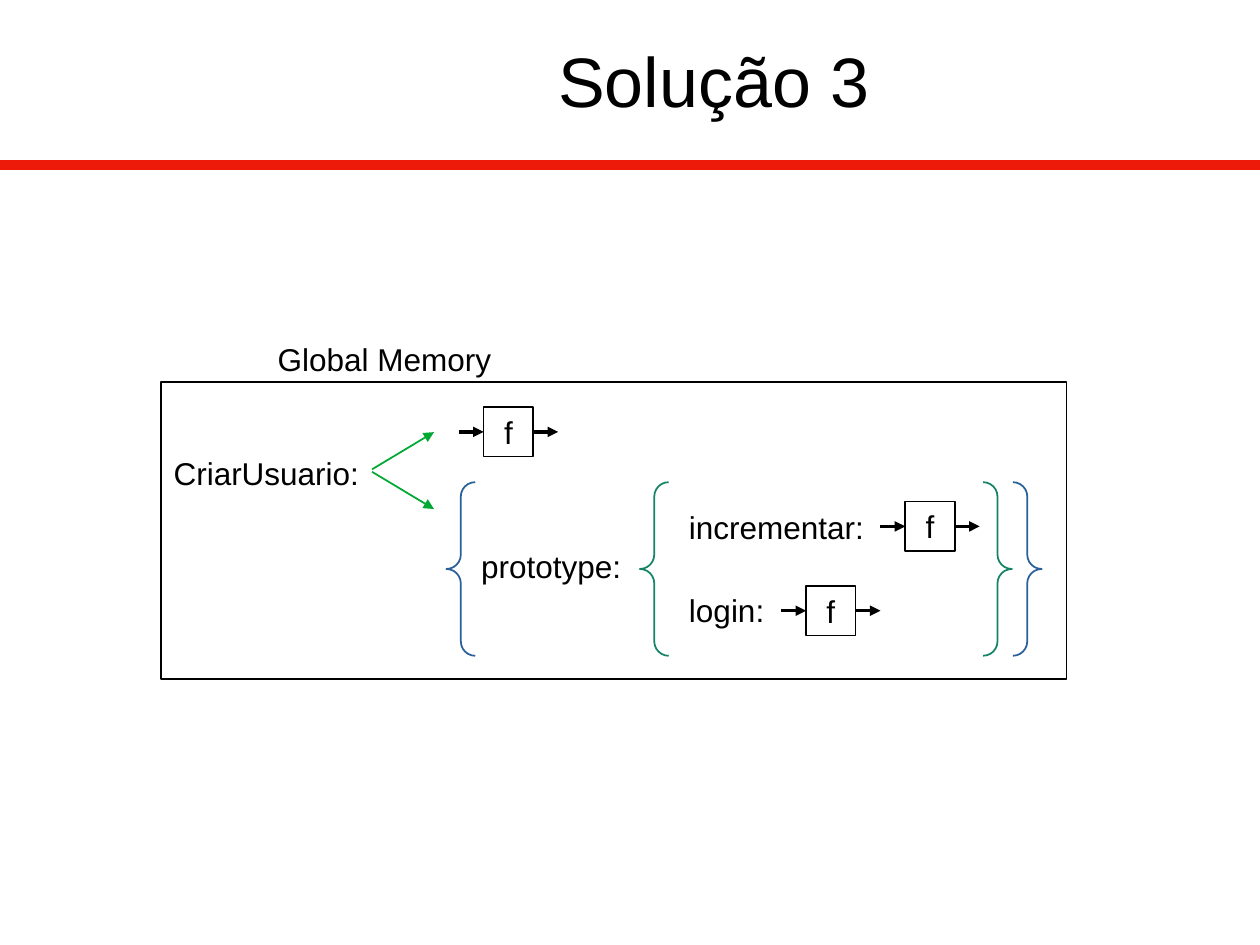
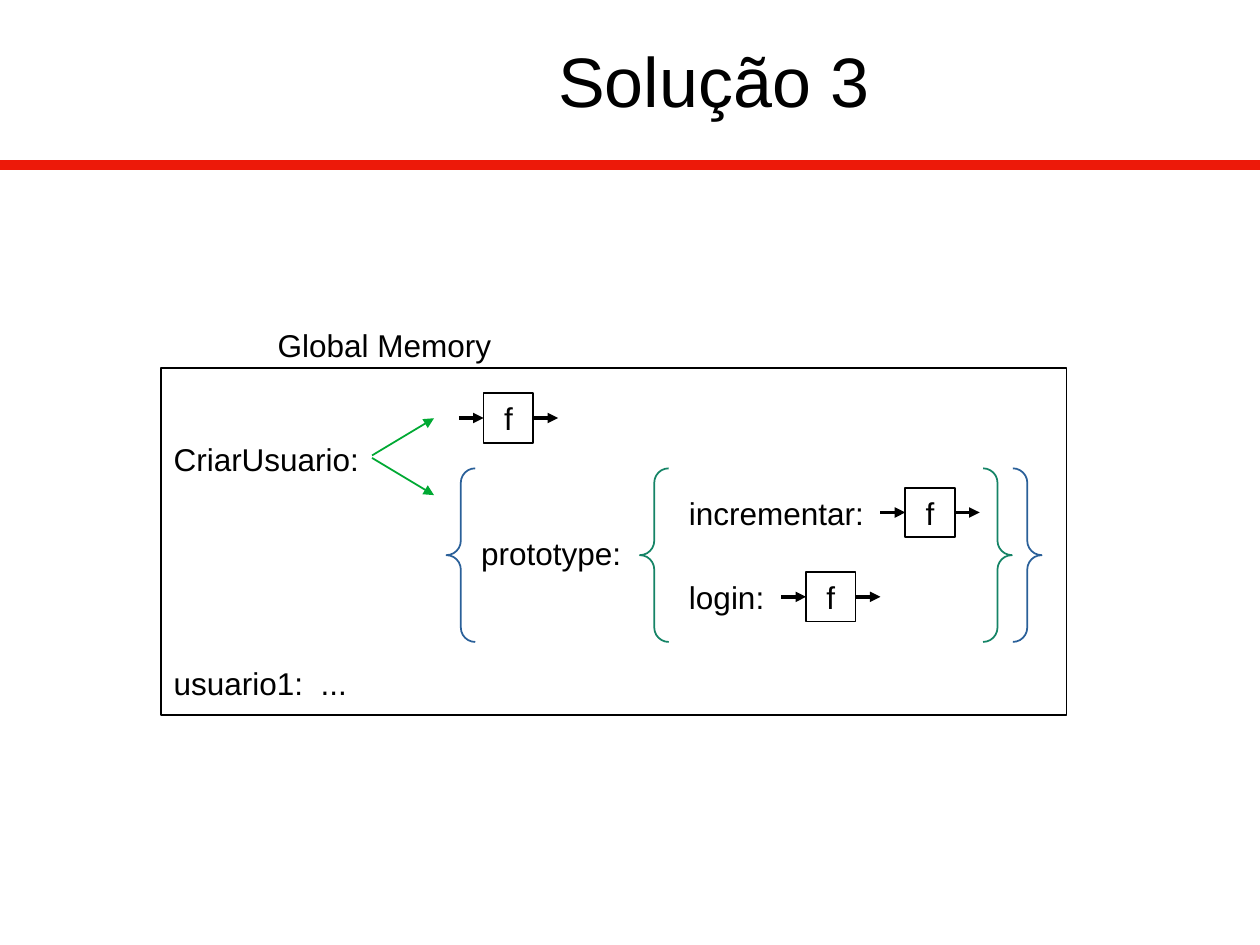
"""Build two slides showing functions and prototypes in global memory."""
from dataclasses import dataclass

import pptx
import pptx.dml.color
import pptx.enum.shapes
import pptx.enum.text
import pptx.oxml
import pptx.oxml.ns
import pptx.util

Inches, Pt = pptx.util.Inches, pptx.util.Pt
SHAPE = pptx.enum.shapes.MSO_SHAPE
ALIGN = pptx.enum.text.PP_ALIGN
ANCHOR = pptx.enum.text.MSO_ANCHOR


@dataclass(frozen=True)
class Theme:
    """Colours, font and sizes."""
    font: str = "Arial"
    ink: str = "000000"
    band: str = "ED1909"
    fork: str = "00A933"
    outer: str = "2A6099"
    inner: str = "158466"
    title: int = 40
    body: int = 18
    thick: int = 6
    thin: int = 1
    hair: int = 0


THEME = Theme()
WIDE, HIGH = 10, 7.5
UNIT = 0.5 / 2.54
LEFT = 6.5 * UNIT
COLS = 36.5
TITLE = (1.53, -0.09, 8.27, 1.44)
BAND = 1.31

HEAD = "Solução 3"
CAPTION = ("Global Memory", 0, -1.93, 18)
LABELS = [
    ("CriarUsuario:", 0, 2.65),
    ("prototype:", 12.4, 6.43),
    ("incrementar:", 20.78, 4.83),
    ("login:", 20.78, 8.2),
]
BOXES = [(13, 1.02), (30, 4.83), (26, 8.23)]
FORKS = [(8.5, 3.53, 11, 2.03), (8.5, 3.63, 11, 5.13)]
BRACES = [(11.5, 24, THEME.outer), (19.3, 15, THEME.inner)]
SLIDES = [
    {"top": 3.03, "rows": 12, "extra": []},
    {"top": 2.92, "rows": 14, "extra": [("usuario1:  ...", 0, 11.7)]},
]


def rgb(code):
    """Turn a hex code into a colour."""
    return pptx.dml.color.RGBColor.from_string(code)


def write(shape, text, size, align=None, anchor=ANCHOR.TOP, pad=(0.1, 0.05), wrap=True):
    """Set and format the text of a shape."""
    frame = shape.text_frame
    frame.text = text
    frame.word_wrap = wrap
    frame.vertical_anchor = anchor
    frame.margin_left = frame.margin_right = Inches(pad[0])
    frame.margin_top = frame.margin_bottom = Inches(pad[1])
    for para in frame.paragraphs:
        para.alignment = align
        for run in para.runs:
            run.font.name = THEME.font
            run.font.size = Pt(size)
            run.font.color.rgb = rgb(THEME.ink)


def rule(shapes, ends, color, width, arrow=False):
    """Draw a straight line, with an arrowhead if asked."""
    line = shapes.add_connector(
        pptx.enum.shapes.MSO_CONNECTOR.STRAIGHT, *map(Inches, ends))
    line.line.color.rgb = rgb(color)
    line.line.width = Pt(width)
    space = pptx.oxml.ns.nsdecls("a")
    if arrow:
        head = pptx.oxml.parse_xml(f'<a:tailEnd {space} type="triangle"/>')
        line.line._get_or_add_ln().append(head)
    line.element.spPr.append(pptx.oxml.parse_xml(f"<a:effectLst {space}/>"))
    return line


def place(shape, box):
    """Move and size a shape in inches."""
    shape.left, shape.top, shape.width, shape.height = map(Inches, box)


def outline(shapes, kind, box, color):
    """Draw an unfilled preset shape."""
    shape = shapes.add_shape(kind, *map(Inches, box))
    shape.shadow.inherit = False
    shape.fill.background()
    shape.line.color.rgb = rgb(color)
    shape.line.width = Pt(THEME.thin)
    return shape


class Memory:
    """A memory frame whose parts sit on a grid of half centimetres."""

    def __init__(self, slide, top):
        self.shapes = slide.shapes
        self.top = top

    def spot(self, col, row):
        """Give the inches of a grid point."""
        return LEFT + col * UNIT, self.top + row * UNIT

    def area(self, col, row, cols, rows):
        """Give the inches of a grid area."""
        return *self.spot(col, row), cols * UNIT, rows * UNIT

    def label(self, text, col, row, cols=12, align=ALIGN.LEFT):
        """Add a line of text."""
        box = self.shapes.add_textbox(*map(Inches, self.area(col, row, cols, 2.03)))
        write(box, text, THEME.body, align)

    def func(self, col, row):
        """Add a function box with arrows in and out."""
        group = self.shapes.add_group_shape().shapes
        box = outline(group, SHAPE.RECTANGLE, self.area(col, row, 2, 2), THEME.ink)
        write(box, "f", THEME.body, ALIGN.CENTER, ANCHOR.MIDDLE, (0.11, 0.06), False)
        for start in (col - 1, col + 2):
            ends = self.spot(start, row + 1) + self.spot(start + 1, row + 1)
            rule(group, ends, THEME.ink, THEME.hair, True)

    def draw(self, rows, extra):
        """Draw the frame and all its parts."""
        outline(self.shapes, SHAPE.RECTANGLE, self.area(0, 0, COLS, rows), THEME.ink)
        self.label(*CAPTION, ALIGN.CENTER)
        for col, cols, color in BRACES:
            pair = outline(self.shapes, SHAPE.DOUBLE_BRACE,
                           self.area(col, 4.05, cols, 7), color)
            pair.adjustments[0] = 0.083
        for x, y, end, low in FORKS:
            rule(self.shapes, self.spot(x, y) + self.spot(end, low),
                 THEME.fork, THEME.thin, True)
        for item in LABELS + extra:
            self.label(*item)
        for col, row in BOXES:
            self.func(col, row)


def main():
    """Build and save the slides."""
    deck = pptx.Presentation()
    deck.slide_width, deck.slide_height = Inches(WIDE), Inches(HIGH)
    layout = deck.slide_layouts.get_by_name("Title Only")
    title = layout.placeholders[0]
    place(title, TITLE)
    for data in SLIDES:
        slide = deck.slides.add_slide(layout)
        place(slide.shapes.title, TITLE)
        write(slide.shapes.title, HEAD, THEME.title, ALIGN.CENTER, ANCHOR.MIDDLE)
        Memory(slide, data["top"]).draw(data["rows"], data["extra"])
    band = rule(slide.shapes, (0, BAND, WIDE, BAND), THEME.band, THEME.thick)
    title.element.addprevious(band.element)
    deck.save("out.pptx")


if __name__ == "__main__":
    main()
